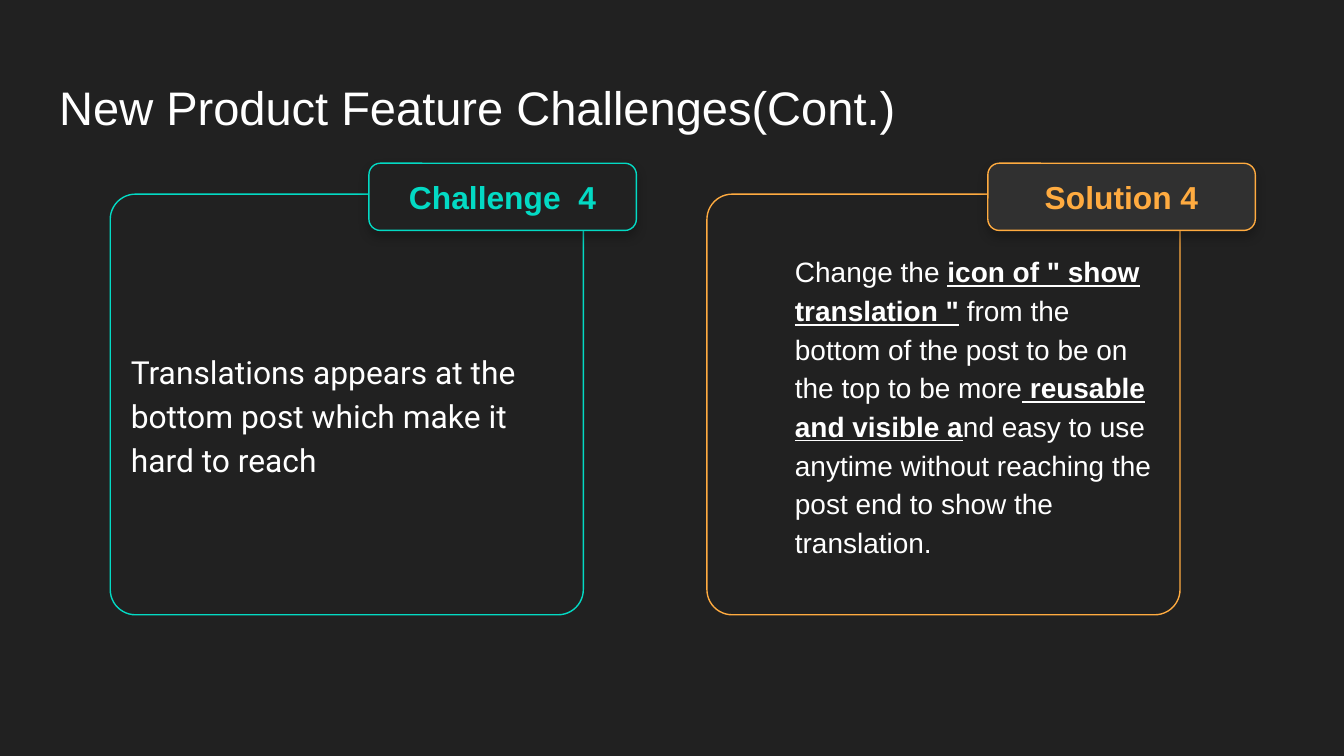
"""Build a slide that sets one product challenge beside its solution."""
import dataclasses
import typing

import lxml.etree
import pptx
import pptx.dml.color
import pptx.enum.shapes
import pptx.enum.text
import pptx.oxml.ns
import pptx.util

SCALE = 4572
INSET = 20
WHITE = "FFFFFF"
DARK = "212121"
TEAL = "03DAC4"
AMBER = "FFAB40"
ALIGN = pptx.enum.text.PP_ALIGN
ANCHOR = pptx.enum.text.MSO_ANCHOR


class Box(typing.NamedTuple):
    left: int
    top: int
    width: int
    height: int


@dataclasses.dataclass(frozen=True)
class Run:
    text: str
    size: float
    font: str = "Arial"
    color: str = WHITE
    bold: bool = False
    under: bool = False


@dataclasses.dataclass(frozen=True)
class Card:
    left: int
    tab: int
    color: str
    fill: str
    label: str
    runs: tuple[Run, ...]
    indent: int = 0
    drop: int = 0


CARDS = (
    Card(164, 549, TEAL, DARK, "Challenge  4", (
        Run("Translations appears at the bottom post which make it hard to reach", 17, "Roboto"),
    ), drop=25),
    Card(1052, 1470, AMBER, "303030", "Solution 4", (
        Run("Change the ", 15),
        Run('icon of " show translation "', 15, bold=True, under=True),
        Run(" from the bottom of the post to be on the top to be more", 15),
        Run(" reusable and visible a", 15, bold=True, under=True),
        Run("nd easy to use anytime without reaching the post end to show the translation.", 15),
    ), indent=100),
)


def px(count: int) -> pptx.util.Emu:
    """Turn pixels into EMU."""
    return pptx.util.Emu(count * SCALE)


def paint(fmt, color: str) -> None:
    """Give a fill format a solid colour."""
    fmt.solid()
    fmt.fore_color.rgb = pptx.dml.color.RGBColor.from_string(color)


def write(shape, runs: typing.Iterable[Run], align, anchor, indent: int = 0, drop: int = 0):
    """Write runs into the first paragraph and return that paragraph."""
    frame = shape.text_frame
    frame.word_wrap = True
    frame.auto_size = pptx.enum.text.MSO_AUTO_SIZE.NONE
    frame.vertical_anchor = anchor
    frame.margin_left = px(INSET + indent)
    frame.margin_top = px(INSET + drop)
    frame.margin_right = frame.margin_bottom = px(INSET)
    para = frame.paragraphs[0]
    para.alignment = align
    for run in runs:
        part = para.add_run()
        part.text = run.text
        part.font.size = pptx.util.Pt(run.size)
        part.font.name = run.font
        part.font.bold = run.bold
        part.font.underline = run.under
        paint(part.font.fill, run.color)
    return para


def frame_box(slide, box: Box, curve: float, color: str, fill: str | None = None):
    """Add an outlined rounded box."""
    shape = slide.shapes.add_shape(
        pptx.enum.shapes.MSO_SHAPE.ROUNDED_RECTANGLE, *map(px, box))
    shape.adjustments[0] = curve
    shape.shadow.inherit = False
    if fill:
        paint(shape.fill, fill)
    else:
        shape.fill.background()
    paint(shape.line.fill, color)
    shape.line.width = pptx.util.Pt(0.75)
    return shape


def shade(shape) -> None:
    """Give a shape a soft shadow below it."""
    qn = pptx.oxml.ns.qn
    effects = shape._element.spPr.find(qn("a:effectLst"))
    outer = lxml.etree.SubElement(
        effects, qn("a:outerShdw"), blurRad=str(pptx.util.Pt(5.6)),
        dist=str(pptx.util.Pt(3)), dir=str(89 * 60000), algn="bl", rotWithShape="0")
    color = lxml.etree.SubElement(outer, qn("a:srgbClr"), val="000000")
    lxml.etree.SubElement(color, qn("a:alpha"), val="24000")


def draw(slide, card: Card) -> None:
    """Draw a card and the label tab on its top edge."""
    body = frame_box(slide, Box(card.left, 289, 704, 626), 0.06, card.color)
    para = write(body, card.runs, ALIGN.LEFT, ANCHOR.MIDDLE, card.indent, card.drop)
    para.line_spacing = 1.15
    para.space_after = pptx.util.Pt(12)
    tab = frame_box(slide, Box(card.tab, 243, 398, 100), 0.17, card.color, card.fill)
    shade(tab)
    label = Run(card.label, 17, color=card.color, bold=True)
    write(tab, [label], ALIGN.CENTER, ANCHOR.MIDDLE)


def main() -> None:
    """Build and save the slide."""
    deck = pptx.Presentation()
    deck.slide_width, deck.slide_height = px(2000), px(1125)
    slide = deck.slides.add_slide(deck.slide_layouts[5])
    paint(slide.background.fill, DARK)
    title = slide.shapes.title
    title.left, title.top, title.width, title.height = map(px, Box(68, 97, 1864, 126))
    write(title, [Run("New Product Feature Challenges(Cont.)", 25.2)], ALIGN.LEFT, ANCHOR.TOP)
    for card in CARDS:
        draw(slide, card)
    deck.save("out.pptx")


if __name__ == "__main__":
    main()
